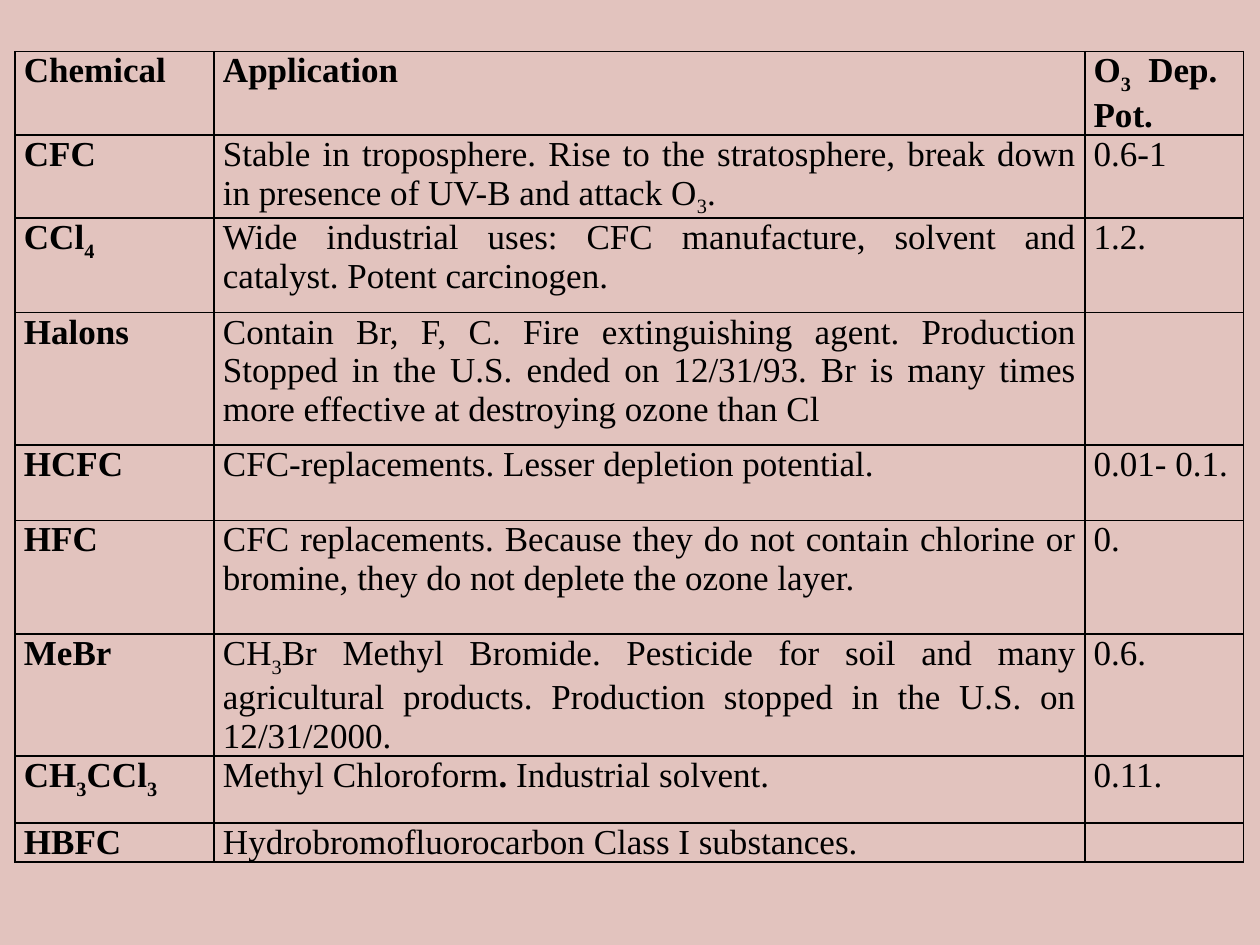
"""Build a slide with a table of ozone-depleting chemicals."""
from dataclasses import dataclass

from lxml.etree import SubElement
from pptx import Presentation
from pptx.dml.color import RGBColor as RGB
from pptx.enum.text import MSO_ANCHOR as ANCHOR, PP_ALIGN as ALIGN
from pptx.oxml import parse_xml
from pptx.oxml.ns import nsdecls, qn
from pptx.util import Inches, Pt


@dataclass(frozen=True)
class Theme:
    background: str = "E2C3BE"
    ink: str = "000000"
    font: str = "Times New Roman"
    size: int = 20
    border: int = 1


COLUMNS = [1.58, 6.91, 1.26]
SUB, BOLD = "~", "*"
ROWS = [
    (0.58, "Chemical", "Application", "O~3~ Dep.  Pot."),
    (0.6, "CFC", "Stable in troposphere. Rise to the stratosphere, break down "
     "in presence of UV-B and attack O~3~. ", "0.6-1"),
    (0.75, "CCl~4~", "Wide industrial uses: CFC manufacture, solvent and "
     "catalyst. Potent carcinogen. ", "1.2."),
    (1.05, "Halons ", "Contain Br, F, C. Fire extinguishing agent. Production "
     "Stopped in the U.S. ended on 12/31/93. Br is many times more effective "
     "at destroying ozone than Cl", ""),
    (0.6, "HCFC", "CFC-replacements. Lesser depletion potential. ", "0.01- 0.1."),
    (0.9, "HFC", "CFC replacements. Because they do not contain chlorine or "
     "bromine, they do not deplete the ozone layer.", "0."),
    (0.68, "MeBr", "CH~3~Br Methyl Bromide. Pesticide for soil and many "
     "agricultural products. Production stopped in the U.S. on 12/31/2000.", "0.6. "),
    (0.53, "CH~3~CCl~3~", "Methyl Chloroform*. *Industrial solvent. ", "0.11."),
    (0.3, "HBFC", "Hydrobromofluorocarbon Class I substances.", ""),
]


class Deck:
    def __init__(self, theme):
        self.theme = theme
        self.prs = Presentation()
        self.prs.slide_width, self.prs.slide_height = Inches(10), Inches(7.5)
        self.s = self.prs.slides.add_slide(self.prs.slide_layouts[6])
        fill = self.s.background.fill
        fill.solid()
        fill.fore_color.rgb = RGB.from_string(theme.background)

    def table(self, left, top, columns, rows):
        heights = [row[0] for row in rows]
        sp = self.s.shapes.add_table(
            len(rows), len(columns), Inches(left), Inches(top),
            Inches(sum(columns)), Inches(sum(heights)))
        tbl = sp.table
        tbl.first_row = tbl.horz_banding = False
        for column, width in zip(tbl.columns, columns):
            column.width = Inches(width)
        for i, (height, *texts) in enumerate(rows):
            tbl.rows[i].height = Inches(height)
            for j, text in enumerate(texts):
                self.cell(tbl.cell(i, j), text, bold=i == 0 or j == 0)

    def cell(self, cell, text, bold):
        layout = {"margin_left": Inches(0.07), "margin_right": Inches(0.07),
                  "margin_top": 0, "margin_bottom": 0,
                  "vertical_anchor": ANCHOR.TOP}
        for name, value in layout.items():
            setattr(cell, name, value)
        cell.fill.background()
        self.borders(cell)
        p = cell.text_frame.paragraphs[0]
        p.alignment = ALIGN.JUSTIFY
        for i, strong in enumerate(text.split(BOLD)):
            for j, part in enumerate(strong.split(SUB)):
                if part:
                    self.run(p, part, bold or i % 2 == 1, j % 2 == 1)

    def run(self, p, text, bold, subscript):
        r = p.add_run()
        r.text = text
        style = {"name": self.theme.font, "size": Pt(self.theme.size), "bold": bold}
        for name, value in style.items():
            setattr(r.font, name, value)
        r.font.color.rgb = RGB.from_string(self.theme.ink)
        if subscript:
            r._r.get_or_add_rPr().set("baseline", "-25000")

    def borders(self, cell):
        tc_pr = cell._tc.get_or_add_tcPr()
        for i, side in enumerate(("lnL", "lnR", "lnT", "lnB")):
            ln = parse_xml(f'<a:{side} {nsdecls("a")} w="{Pt(self.theme.border)}"/>')
            fill = SubElement(ln, qn("a:solidFill"))
            SubElement(fill, qn("a:srgbClr"), val=self.theme.ink)
            tc_pr.insert(i, ln)


def main():
    deck = Deck(Theme())
    deck.table(0.12, 0.41, COLUMNS, ROWS)
    deck.prs.save("out.pptx")


if __name__ == "__main__":
    main()
